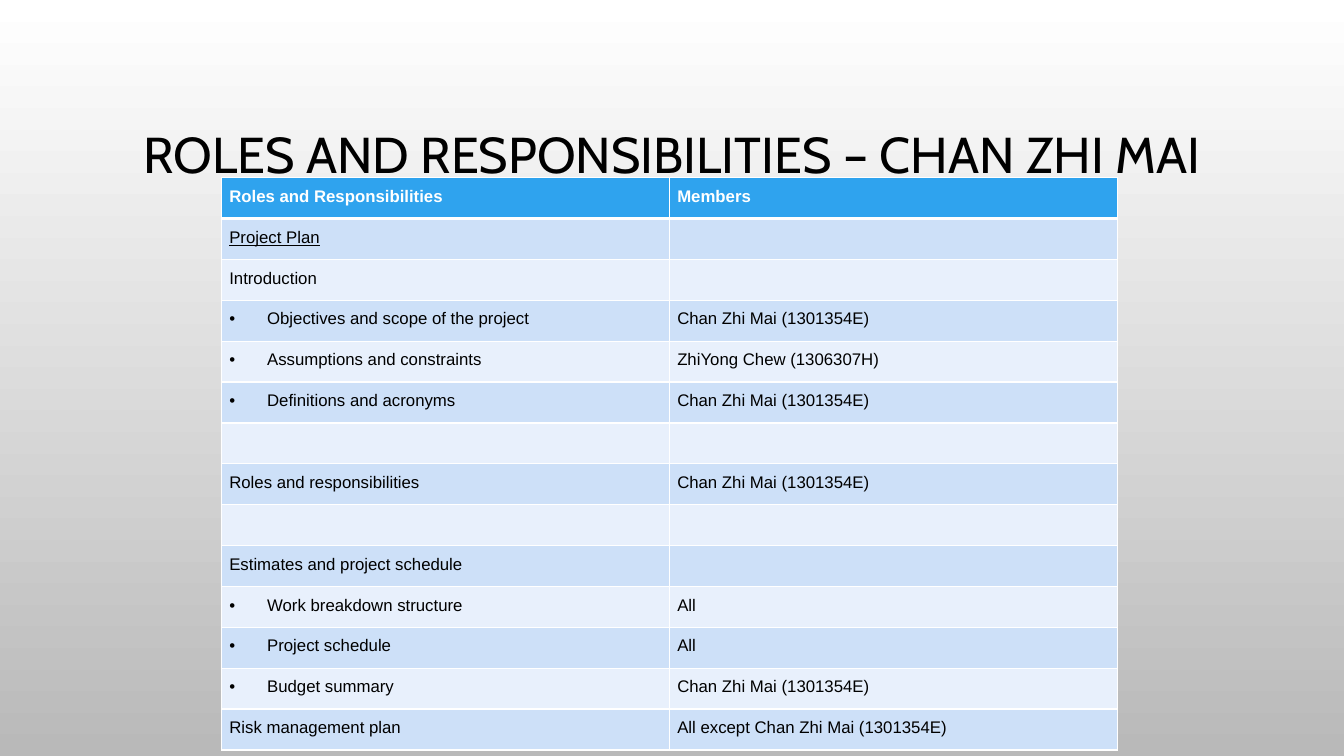
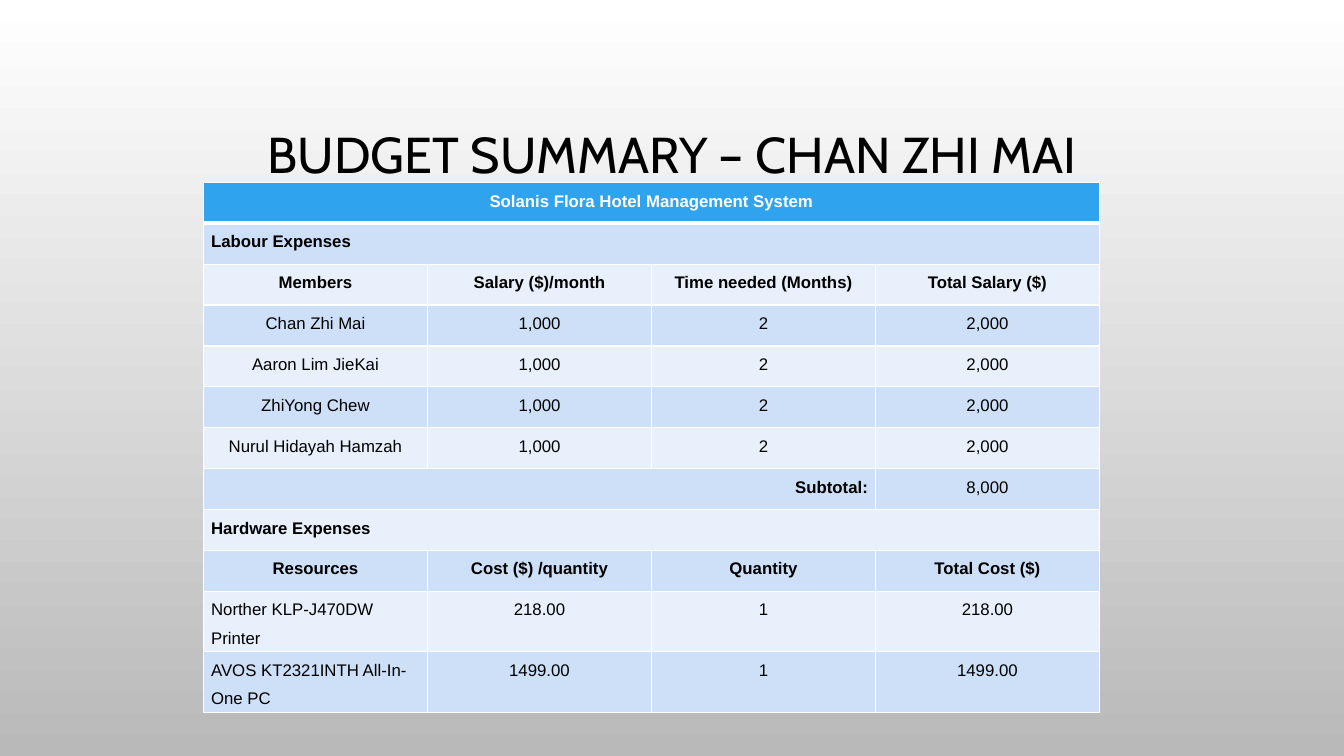
import dataclasses

import lxml.etree
import pptx
import pptx.dml.color
import pptx.enum.text
import pptx.oxml.ns
import pptx.util

Pt = pptx.util.Pt
qn = pptx.oxml.ns.qn
ALIGN = pptx.enum.text.PP_ALIGN

COLORS = {
    "page top": "FFFFFF",
    "page bottom": "B9B9B9",
    "text": "000000",
    "header": "2FA3EE",
    "header text": "FFFFFF",
    "odd row": "CDE0F8",
    "even row": "E8F0FC",
    "border": "FFFFFF",
}


def color(name):
    return pptx.dml.color.RGBColor.from_string(COLORS[name])


@dataclasses.dataclass
class Cell:
    text: str = ""
    align: ALIGN = ALIGN.LEFT
    bold: bool = False
    underline: bool = False
    bullet: bool = False
    span: int = 1


class Presenter:
    """Holds the shared style and the current page."""

    title_font, title_size = "Cabin", 36
    table_font, table_size = "Arial", 12
    table_width, row_height = 640, 29.2
    cell_inset, bullet_indent = 5.4, 27
    border_width, header_rule = 1, 3

    def __init__(self):
        self.deck = pptx.Presentation()
        self.deck.slide_width, self.deck.slide_height = Pt(960), Pt(540)
        self.page = None
        fill = self.deck.slide_master.background.fill
        fill.gradient()
        fill.gradient_angle = 270
        for stop, name in zip(fill.gradient_stops, ("page top", "page bottom")):
            stop.color.rgb = color(name)

    def add_page(self, title):
        self.page = self.deck.slides.add_slide(self.deck.slide_layouts[6])
        self.add_title(title)

    def add_title(self, text):
        box = self.page.shapes.add_textbox(Pt(72), Pt(49), Pt(816), Pt(126))
        frame = box.text_frame
        frame.word_wrap = True
        frame.vertical_anchor = pptx.enum.text.MSO_ANCHOR.MIDDLE
        frame.text = text
        para = frame.paragraphs[0]
        para.alignment = ALIGN.CENTER
        para.line_spacing = 0.9
        self.format_span(para, self.title_font, self.title_size, "text")

    def add_table(self, left, top, columns, rows):
        frame = self.page.shapes.add_table(
            len(rows), columns, Pt(left), Pt(top),
            Pt(self.table_width), Pt(self.row_height * len(rows)))
        table = frame.table
        table.first_row = table.horz_banding = False
        for column in table.columns:
            column.width = Pt(self.table_width / columns)
        for row_index, row in enumerate(rows):
            table.rows[row_index].height = Pt(self.row_height)
            for column_index in range(columns):
                self.style_cell(table.cell(row_index, column_index), row_index)
            column_index = 0
            for entry in row:
                box = table.cell(row_index, column_index)
                if entry.span > 1:
                    box.merge(table.cell(row_index, column_index + entry.span - 1))
                if entry.text:
                    self.fill_cell(box, entry, row_index == 0)
                column_index += entry.span

    def style_cell(self, box, row_index):
        box.margin_left = box.margin_right = Pt(self.cell_inset)
        box.margin_top = box.margin_bottom = 0
        # Borders come before the fill in the cell properties
        properties = box._tc.get_or_add_tcPr()
        for side in "LRTB":
            heavy = (row_index, side) in ((0, "B"), (1, "T"))
            width = self.header_rule if heavy else self.border_width
            line = lxml.etree.SubElement(properties, qn(f"a:ln{side}"), w=str(Pt(width)))
            solid = lxml.etree.SubElement(line, qn("a:solidFill"))
            lxml.etree.SubElement(solid, qn("a:srgbClr"), val=COLORS["border"])
        band = "odd row" if row_index % 2 else "even row"
        box.fill.solid()
        box.fill.fore_color.rgb = color(band if row_index else "header")

    def fill_cell(self, box, entry, is_header):
        box.text_frame.text = entry.text
        para = box.text_frame.paragraphs[0]
        para.alignment = entry.align
        para.line_spacing = 1.5
        if entry.bullet:
            self.add_bullet(para)
        span = self.format_span(para, self.table_font, self.table_size,
                                "header text" if is_header else "text")
        span.font.bold = entry.bold or is_header
        span.font.underline = entry.underline

    def add_bullet(self, para):
        properties = para._p.get_or_add_pPr()
        properties.set("marL", str(Pt(self.bullet_indent)))
        properties.set("indent", str(-Pt(self.bullet_indent)))
        lxml.etree.SubElement(properties, qn("a:buFont"), typeface=self.table_font)
        lxml.etree.SubElement(properties, qn("a:buChar"), char="•")

    def format_span(self, para, font, size, color_name):
        span = para.runs[0]
        span.font.name = font
        span.font.size = Pt(size)
        span.font.color.rgb = color(color_name)
        return span


def duty(text="", members="", **style):
    return [Cell(text, **style), Cell(members)]


def centred(*texts, bold=False):
    return [Cell(text, ALIGN.CENTER, bold) for text in texts]


def section(text, align=ALIGN.LEFT):
    return [Cell(text, align, bold=True, span=4)]


def resource(name, cost, quantity, total):
    return [Cell(name)] + centred(cost, quantity, total)


def main():
    show = Presenter()

    # Roles and responsibilities
    lead = "Chan Zhi Mai (1301354E)"
    show.add_page("ROLES AND RESPONSIBILITIES – CHAN ZHI MAI")
    show.add_table(158.4, 126.9, 2, [
        duty("Roles and Responsibilities", "Members"),
        duty("Project Plan", underline=True),
        duty("Introduction"),
        duty("Objectives and scope of the project", lead, bullet=True),
        duty("Assumptions and constraints", "ZhiYong Chew (1306307H)", bullet=True),
        duty("Definitions and acronyms", lead, bullet=True),
        duty(),
        duty("Roles and responsibilities", lead),
        duty(),
        duty("Estimates and project schedule"),
        duty("Work breakdown structure", "All", bullet=True),
        duty("Project schedule", "All", bullet=True),
        duty("Budget summary", lead, bullet=True),
        duty("Risk management plan", f"All except {lead}"),
    ])

    # Budget summary
    members = ["Chan Zhi Mai", "Aaron Lim JieKai", "ZhiYong Chew", "Nurul Hidayah Hamzah"]
    show.add_page("BUDGET SUMMARY – CHAN ZHI MAI")
    show.add_table(145.4, 130.3, 4, [
        section("Solanis Flora Hotel Management System", ALIGN.CENTER),
        section("Labour Expenses"),
        centred("Members", "Salary ($)/month", "Time needed (Months)",
                "Total Salary ($)", bold=True),
        *[centred(member, "1,000", "2", "2,000") for member in members],
        [Cell("Subtotal:", ALIGN.RIGHT, bold=True, span=3), *centred("8,000")],
        section("Hardware Expenses", ALIGN.JUSTIFY),
        centred("Resources", "Cost ($) /quantity", "Quantity",
                "Total Cost ($)", bold=True),
        resource("Norther KLP-J470DW Printer", "218.00", "1", "218.00"),
        resource("AVOS KT2321INTH All-In-One PC", "1499.00", "1", "1499.00"),
    ])

    show.deck.save("out.pptx")


if __name__ == "__main__":
    main()
